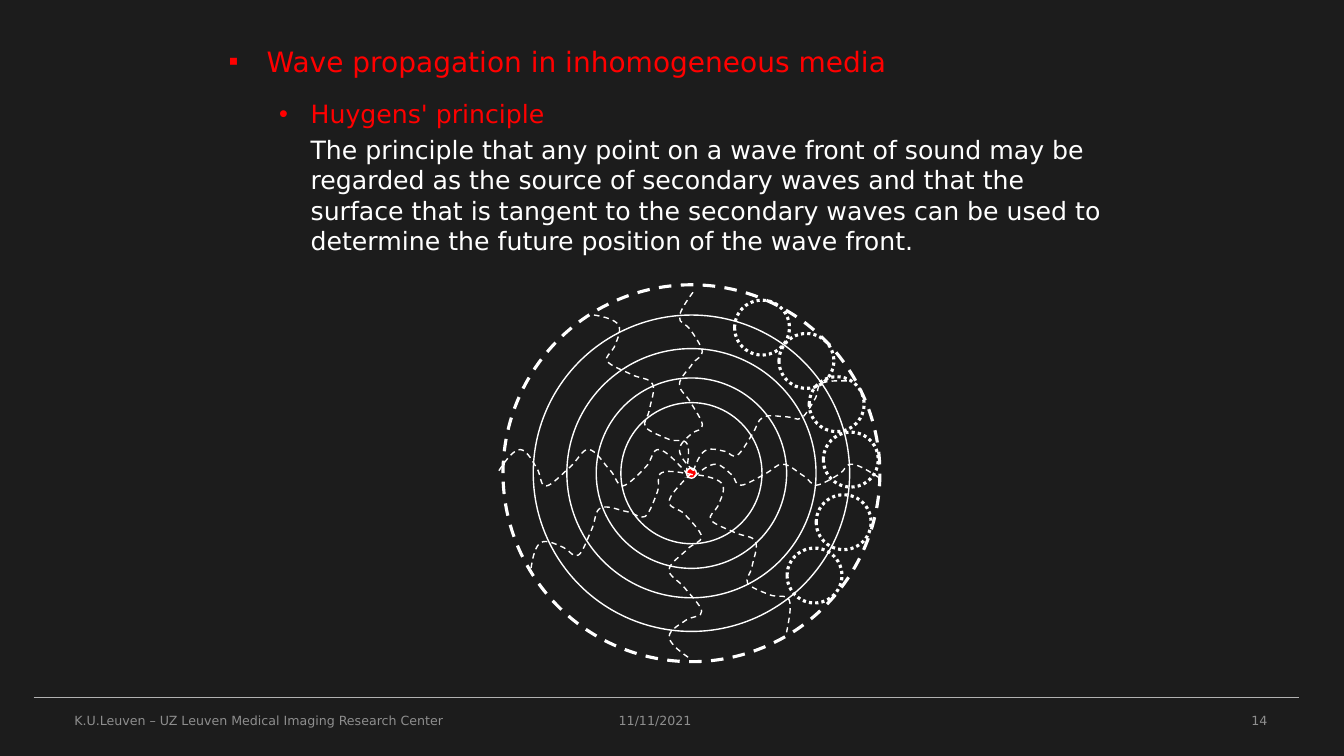
from lxml.etree import SubElement
from pptx import Presentation
from pptx.dml.color import RGBColor
from pptx.enum.dml import MSO_LINE
from pptx.enum.shapes import MSO_CONNECTOR, MSO_SHAPE
from pptx.enum.text import MSO_ANCHOR, MSO_AUTO_SIZE, PP_ALIGN
from pptx.oxml.ns import qn
from pptx.util import Pt

COLORS = {"background": "1C1C1C", "rule": "B2B2B2", "footer": "8E8E8E",
          "accent": "FF0000", "white": "FFFFFF"}
FONT = "DejaVu Sans"
CENTER = (493.9, 338)
FRONT_RADII = [50.4, 68, 89, 113]
NEXT_FRONT_RADIUS = 134.6
SOURCE_RADIUS = 3.6
WAVELET_RADIUS = 19.6
WAVELET_CENTERS = [(576, 257.8), (597.6, 288.7), (607.7, 328.3),
                   (602.6, 373), (581.8, 411.1), (544.3, 234)]
RAY_START = (0, 21)
RAY_CURVE = [
    (7, 10), (15, 0), (21, 0), (28, 0), (34, 13), (38, 19),
    (42, 26), (41, 37), (47, 36), (52, 36), (64, 23), (71, 17),
    (78, 11), (83, -1), (89, 0), (96, 0), (104, 14), (110, 20),
    (116, 26), (117, 36), (123, 36), (129, 35), (140, 23), (146, 17),
    (152, 11), (152, -1), (159, 0), (166, 1), (176, 12), (187, 24),
]
RAYS = [
    (496.1, 331.2, 132.5, 15.8, 0), (356.4, 320.4, 134.6, 27.4, 0),
    (424.1, 391.7, 131, 24.5, 270), (429.1, 262.8, 128.9, 17.3, 270),
    (468, 383.8, 128.9, 20.9, 60), (392.4, 271.4, 133.2, 20.9, 60),
    (486, 295.2, 130.3, 15.1, 330), (369.4, 359.3, 135.4, 22.3, 330),
]
PRINCIPLE = ("The principle that any point on a wave front of sound may be regarded "
             "as the source of secondary waves and that the surface that is tangent "
             "to the secondary waves can be used to determine the future position "
             "of the wave front.")


def color(name):
    return RGBColor.from_string(COLORS[name])


def add_run(paragraph, text, size, color_name):
    run = paragraph.add_run()
    run.text = text
    run.font.name = FONT
    run.font.size = Pt(size)
    run.font.color.rgb = color(color_name)


def add_point(paragraph, text, size, color_name, level, margin, indent, bullet, before):
    paragraph.level = level
    paragraph.space_before = Pt(before)
    properties = paragraph._p.get_or_add_pPr()
    properties.set("marL", str(Pt(margin)))
    properties.set("indent", str(Pt(indent)))
    if bullet:
        SubElement(properties, qn("a:buChar")).set("char", bullet)
    else:
        SubElement(properties, qn("a:buNone"))
    add_run(paragraph, text, size, color_name)


def fill_body(body):
    body.left, body.top, body.width, body.height = Pt(156.2), Pt(28.1), Pt(648), Pt(461.5)
    frame = body.text_frame
    frame.auto_size = MSO_AUTO_SIZE.NONE
    add_point(frame.paragraphs[0], "Wave propagation in inhomogeneous media",
              20, "accent", 0, 27, -27, "▪", 0)
    heading = frame.add_paragraph()
    heading.line_spacing = 1.5
    add_point(heading, "Huygens' principle", 18, "accent", 1, 58.5, -22.5, "•", 4)
    add_point(frame.add_paragraph(), PRINCIPLE, 18, "white", 1, 58.5, 0, None, 4)


def add_footer(slide, text, left, width, alignment=PP_ALIGN.LEFT):
    frame = slide.shapes.add_textbox(Pt(left), Pt(500.4), Pt(width), Pt(28.8)).text_frame
    frame.word_wrap = True
    frame.vertical_anchor = MSO_ANCHOR.MIDDLE
    frame.paragraphs[0].alignment = alignment
    add_run(frame.paragraphs[0], text, 9, "footer")


def add_rule(slide):
    rule = slide.shapes.add_connector(MSO_CONNECTOR.STRAIGHT,
                                      Pt(24), Pt(498), Pt(928), Pt(498))
    rule.line.color.rgb = color("rule")
    rule.line.width = Pt(0.75)
    SubElement(rule._element.spPr, qn("a:effectLst"))


def style_outline(shape, width, dash=None, fill=None):
    shape.shadow.inherit = False
    if fill:
        shape.fill.solid()
        shape.fill.fore_color.rgb = color(fill)
    else:
        shape.fill.background()
    shape.line.color.rgb = color("white")
    shape.line.width = Pt(width)
    if dash:
        shape.line.dash_style = dash


def add_circle(slide, center, radius, width, dash=None, fill=None):
    x, y = center
    circle = slide.shapes.add_shape(MSO_SHAPE.OVAL, Pt(x - radius), Pt(y - radius),
                                    Pt(2 * radius), Pt(2 * radius))
    style_outline(circle, width, dash, fill)


def add_ray(slide, left, top, width, height, rotation):
    builder = slide.shapes.build_freeform(*RAY_START, scale=Pt(1))
    builder.add_line_segments(RAY_CURVE, close=False)
    ray = builder.convert_to_shape()
    outline = ray._element.spPr.find(".//" + qn("a:path"))
    for index, control in enumerate(outline.findall(qn("a:lnTo"))):
        if index % 3 == 0:
            curve = SubElement(outline, qn("a:cubicBezTo"))
        curve.append(control[0])
        outline.remove(control)
    ray.left, ray.top, ray.width, ray.height = Pt(left), Pt(top), Pt(width), Pt(height)
    ray.rotation = rotation
    style_outline(ray, 1, MSO_LINE.DASH)


def main():
    deck = Presentation()
    deck.slide_width, deck.slide_height = Pt(960), Pt(540)
    slide = deck.slides.add_slide(deck.slide_layouts[1])
    slide.background.fill.solid()
    slide.background.fill.fore_color.rgb = color("background")
    title = slide.shapes.title._element
    title.getparent().remove(title)

    add_rule(slide)
    fill_body(slide.placeholders[1])
    add_footer(slide, "11/11/2021", 434.9, 224)
    add_footer(slide, "K.U.Leuven – UZ Leuven Medical Imaging Research Center", 46, 304)
    add_footer(slide, "14", 688.3, 224, PP_ALIGN.RIGHT)

    for radius in FRONT_RADII:
        add_circle(slide, CENTER, radius, 1)
    add_circle(slide, CENTER, SOURCE_RADIUS, 1, fill="accent")
    for center in WAVELET_CENTERS:
        add_circle(slide, center, WAVELET_RADIUS, 2.25, MSO_LINE.ROUND_DOT)
    add_circle(slide, CENTER, NEXT_FRONT_RADIUS, 2.25, MSO_LINE.DASH)
    for ray in RAYS:
        add_ray(slide, *ray)
    deck.save("out.pptx")


if __name__ == "__main__":
    main()
